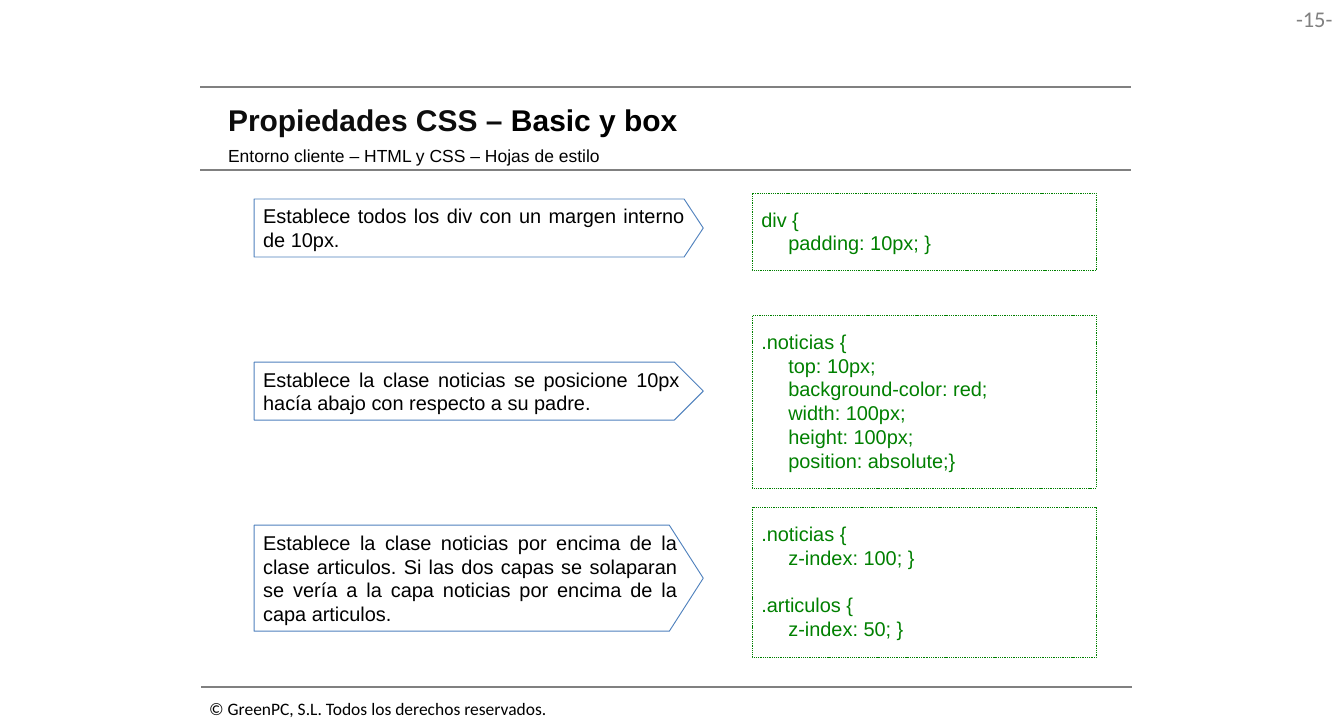
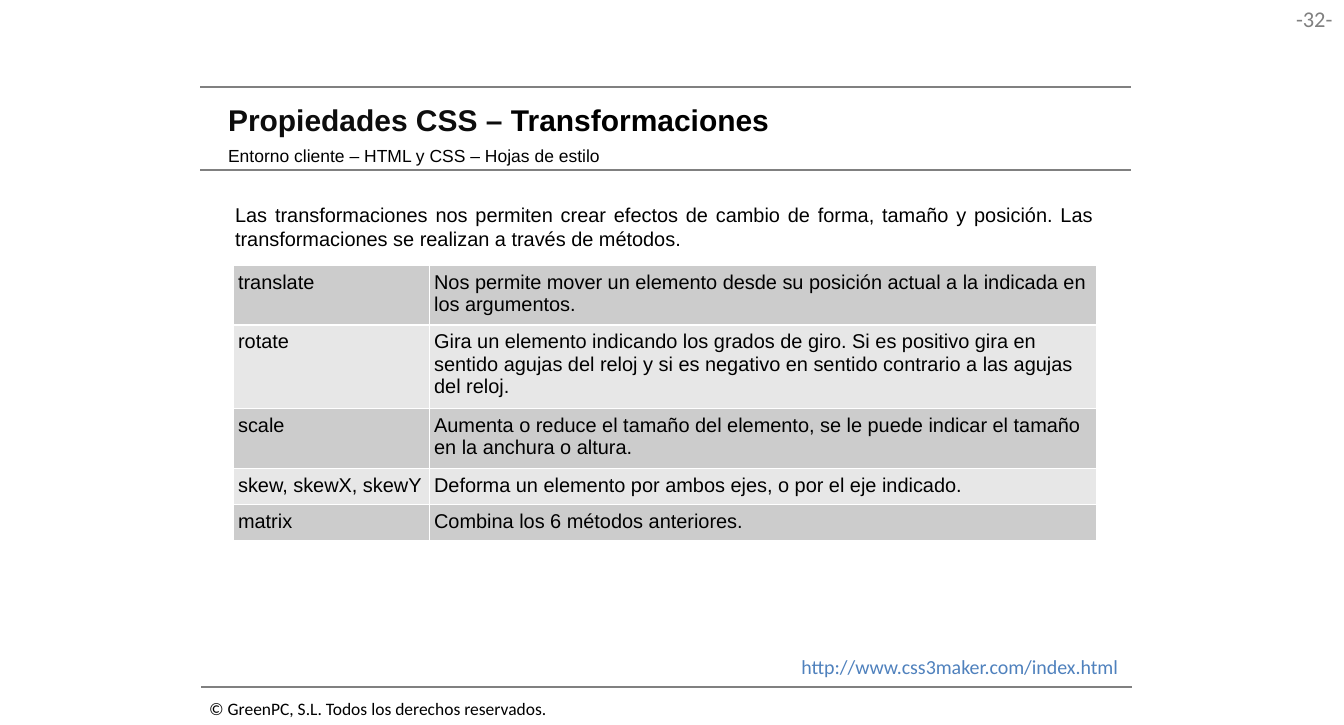
from lxml.etree import SubElement
from pptx import Presentation
from pptx.dml.color import RGBColor
from pptx.enum.dml import MSO_LINE
from pptx.enum.shapes import MSO_CONNECTOR, MSO_SHAPE
from pptx.enum.text import MSO_ANCHOR, MSO_AUTO_SIZE, PP_ALIGN
from pptx.oxml.ns import qn
from pptx.util import Inches, Pt

PX = 10182  # EMU per pixel
COLORS = {
    "black": "000000", "title": "0D0D0D", "grey": "808080", "white": "FFFFFF",
    "code": "008000", "blue": "4F81BD", "odd": "CCCCCC", "even": "E7E7E7",
}
SUBTITLE = "Entorno cliente – HTML y CSS – Hojas de estilo"
COPYRIGHT = "© GreenPC, S.L. Todos los derechos reservados."
RULES = [(200, 87), (200, 170), (201, 687)]
RULE_WIDTH = 931
TAB = 27
ROW_HEIGHT = 29

# (arrow top, arrow height, arrow point, text, code top, code height, code rules)
EXAMPLES = [
    (199, 58, 0.33, "Establece todos los div con un margen interno de 10px.",
     193, 77, ["div {\n\tpadding: 10px; }"]),
    (362, 58, 0.5, "Establece la clase noticias se posicione 10px hacía abajo con "
     "respecto a su padre.",
     315, 173, [".noticias {\n\ttop: 10px;\n\tbackground-color: red;\n\twidth: 100px;"
                "\n\theight: 100px;\n\tposition: absolute;}"]),
    (525, 106, 0.32, "Establece la clase noticias por encima de la clase articulos. "
     "Si las dos capas se solaparan se vería a la capa noticias por encima de la "
     "capa articulos.",
     507, 150, [".noticias {\n\tz-index: 100; }", ".articulos {\n\tz-index: 50; }"]),
]
METHODS = [
    ("translate", "Nos permite mover un elemento desde su posición actual a la "
     "indicada en los argumentos."),
    ("rotate", "Gira un elemento indicando los grados de giro. Si es positivo gira "
     "en sentido agujas del reloj y si es negativo en sentido contrario a las agujas "
     "del reloj."),
    ("scale", "Aumenta o reduce el tamaño del elemento, se le puede indicar el "
     "tamaño en la anchura o altura."),
    ("skew, skewX, skewY", "Deforma un elemento por ambos ejes, o por el eje "
     "indicado."),
    ("matrix", "Combina los 6 métodos anteriores."),
]


def px(*lengths):
    return [n * PX for n in lengths]


def rgb(name):
    return RGBColor.from_string(COLORS[name])


class Deck:
    """Holds the presentation, its style and the current slide."""

    def __init__(self, width, height):
        self.prs = Presentation()
        self.prs.slide_width, self.prs.slide_height = width, height
        self.slide = None

    def new_slide(self, number, topic):
        self.slide = self.prs.slides.add_slide(self.prs.slide_layouts[5])
        for left, top in RULES:
            self.rule(left, top)
        self.text(1268, 0, 74, 37, f"-{number}-", size=18, color="grey", font="Calibri",
                  align=PP_ALIGN.RIGHT, wrap=False, inset=(10, 5))
        self.text(200, 693, 358, 31, COPYRIGHT, size=14, font="Calibri", wrap=False)
        self.title(topic)
        self.text(216, 139, 682, 33, SUBTITLE, size=14, inset=(12, 6),
                  anchor=MSO_ANCHOR.MIDDLE)

    def title(self, topic):
        sp = self.slide.shapes.title
        sp.left, sp.top, sp.width, sp.height = px(216, 95, 909, 48)
        tf = self.frame(sp, (12, 6), MSO_ANCHOR.MIDDLE)
        p = tf.paragraphs[0]
        p.alignment = PP_ALIGN.LEFT
        self.run(p, "Propiedades CSS – ", 24, "title", bold=True)
        self.run(p, topic, 24, bold=True)

    def frame(self, sp, inset=(9, 5), anchor=MSO_ANCHOR.TOP, wrap=True):
        tf = sp.text_frame
        tf.word_wrap = wrap
        tf.auto_size = MSO_AUTO_SIZE.NONE if wrap else MSO_AUTO_SIZE.SHAPE_TO_FIT_TEXT
        tf.vertical_anchor = anchor
        tf.margin_left, tf.margin_top = tf.margin_right, tf.margin_bottom = px(*inset)
        return tf

    def run(self, p, text, size=16, color="black", font="Arial", bold=False):
        r = p.add_run()
        r.text = text
        r.font.size, r.font.name, r.font.bold = Pt(size), font, bold
        r.font.color.rgb = rgb(color)

    def rule(self, left, top):
        line = self.slide.shapes.add_connector(
            MSO_CONNECTOR.STRAIGHT, *px(left, top, left + RULE_WIDTH, top))
        line.line.color.rgb = rgb("grey")
        line.line.width = Pt(1.5)
        SubElement(line._element.spPr, qn("a:effectLst"))

    def text(self, left, top, width, height, text, size=16, color="black", font="Arial",
             align=PP_ALIGN.LEFT, wrap=True, inset=(9, 5), anchor=MSO_ANCHOR.TOP):
        sp = self.slide.shapes.add_textbox(*px(left, top, width, height))
        p = self.frame(sp, inset, anchor, wrap).paragraphs[0]
        p.alignment = align
        self.run(p, text, size, color, font)

    def shape(self, kind, box, line_color, line_width):
        sp = self.slide.shapes.add_shape(kind, *px(*box))
        sp.shadow.inherit = False
        sp.line.color.rgb = rgb(line_color)
        sp.line.width = Pt(line_width)
        return sp

    def arrow(self, top, height, point, text):
        sp = self.shape(MSO_SHAPE.PENTAGON, (254, top, 449, height), "blue", 0.75)
        sp.adjustments[0] = point
        sp.fill.background()
        p = self.frame(sp).paragraphs[0]
        p.alignment = PP_ALIGN.JUSTIFY
        self.run(p, text)

    def code(self, top, height, rules):
        """Draw a dashed box; every rule after the first starts a line lower."""
        sp = self.shape(MSO_SHAPE.RECTANGLE, (752, top, 344, height), "code", 0.25)
        sp.line.dash_style = MSO_LINE.DASH
        sp.fill.solid()
        sp.fill.fore_color.rgb = rgb("white")
        tf = self.frame(sp, (9, 14))
        lines = [(i > 0 and j == 0, line) for i, rule in enumerate(rules)
                 for j, line in enumerate(rule.split("\n"))]
        for n, (gap, line) in enumerate(lines):
            p = tf.add_paragraph() if n else tf.paragraphs[0]
            p.alignment = PP_ALIGN.LEFT
            if gap:
                p.space_before = Pt(19)
            tabs = SubElement(p._p.get_or_add_pPr(), qn("a:tabLst"))
            SubElement(tabs, qn("a:tab"), pos=str(TAB * PX), algn="l")
            self.run(p, line, color="code")

    def table(self, left, top, widths, rows):
        table = self.slide.shapes.add_table(
            len(rows), len(widths),
            *px(left, top, sum(widths), ROW_HEIGHT * len(rows))).table
        table.first_row = table.horz_banding = False
        for column, width in zip(table.columns, widths):
            column.width = width * PX
        for i, texts in enumerate(rows):
            table.rows[i].height = ROW_HEIGHT * PX
            for j, text in enumerate(texts):
                self.cell(table.cell(i, j), text, "even" if i % 2 else "odd")

    def cell(self, cell, text, fill):
        cell.margin_left, cell.margin_top = cell.margin_right, cell.margin_bottom = px(5, 6)
        tcPr = cell._tc.get_or_add_tcPr()
        for side in "LRTB":
            ln = SubElement(tcPr, qn(f"a:ln{side}"), w=str(Pt(1)))
            solid = SubElement(ln, qn("a:solidFill"))
            SubElement(solid, qn("a:srgbClr"), val=COLORS["white"])
        cell.fill.solid()
        cell.fill.fore_color.rgb = rgb(fill)
        self.run(cell.text_frame.paragraphs[0], text)


def main():
    deck = Deck(Inches(14.96), Inches(8.07))

    deck.new_slide(15, "Basic y box")
    for top, height, point, text, code_top, code_height, rules in EXAMPLES:
        deck.code(code_top, code_height, rules)
        deck.arrow(top, height, point, text)

    deck.new_slide(32, "Transformaciones")
    deck.table(233, 265, [196, 667], METHODS)
    deck.text(226, 198, 876, 58, "Las transformaciones nos permiten crear efectos de "
              "cambio de forma, tamaño y posición. Las transformaciones se realizan a "
              "través de métodos.", align=PP_ALIGN.JUSTIFY)
    deck.text(792, 649, 339, 33, "http://www.css3maker.com/index.html", color="blue",
              font="Calibri", wrap=False)

    deck.prs.save("out.pptx")


if __name__ == "__main__":
    main()
